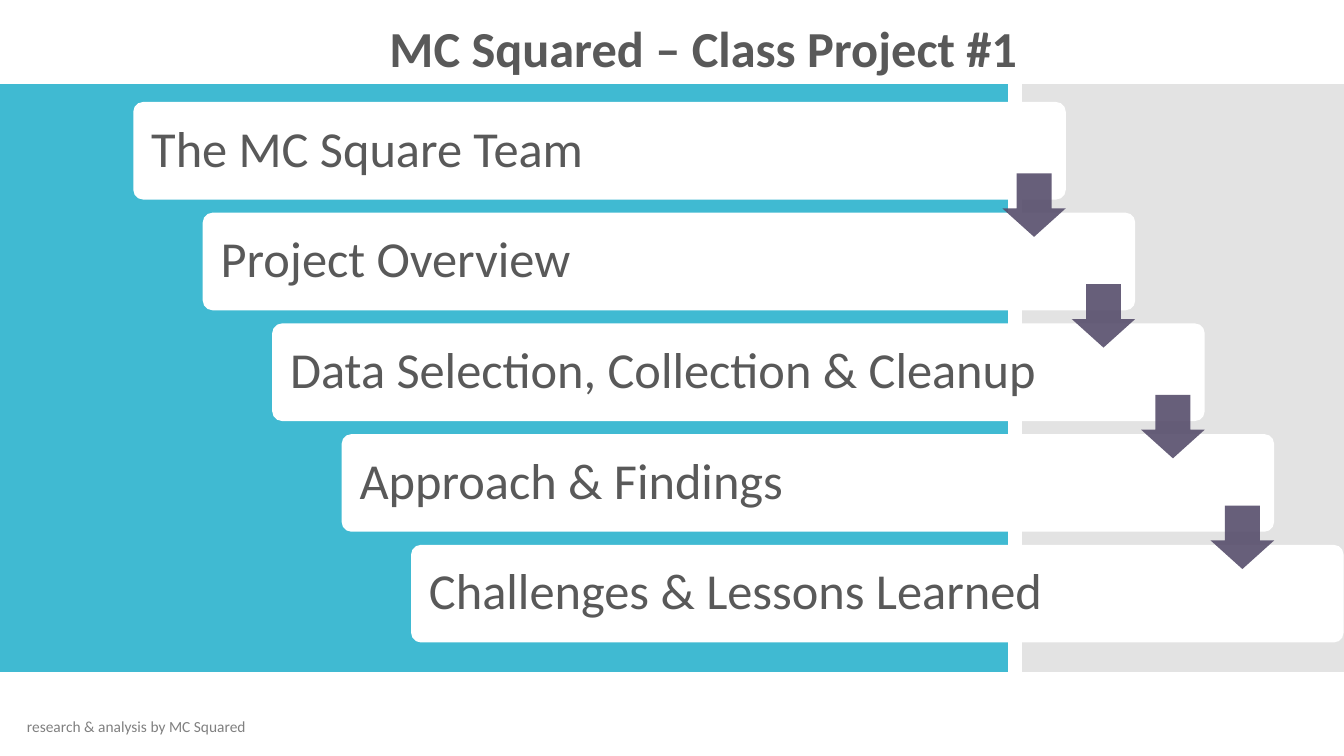
from lxml.etree import SubElement
from pptx import Presentation
from pptx.dml.color import RGBColor
from pptx.enum.shapes import MSO_SHAPE
from pptx.enum.text import MSO_ANCHOR, PP_ALIGN
from pptx.oxml.ns import qn
from pptx.util import Cm, Pt

TEAL = RGBColor(0x40, 0xBA, 0xD2)
LIGHT_GRAY = RGBColor(0xC8, 0xC8, 0xC8)
WHITE = RGBColor(0xFF, 0xFF, 0xFF)
PURPLE = RGBColor(0x57, 0x4E, 0x6C)
TEXT_GRAY = RGBColor(0x59, 0x59, 0x59)
NOTE_GRAY = RGBColor(0x80, 0x80, 0x80)

TOPICS = [
    "The MC Square Team",
    "Project Overview",
    "Data Selection, Collection & Cleanup",
    "Approach & Findings",
    "Challenges & Lessons Learned",
]
STEP_X, STEP_Y = 1.75, 2.79


class AgendaSlide:
    font_name = "Calibri"

    def __init__(self, prs):
        self.s = prs.slides.add_slide(prs.slide_layouts[5])

    def set_text(self, sp, text, size, color, bold=False, align=PP_ALIGN.LEFT,
                 anchor=MSO_ANCHOR.MIDDLE):
        tf = sp.text_frame
        tf.word_wrap = True
        tf.vertical_anchor = anchor
        p = tf.paragraphs[0]
        p.text = text
        p.alignment = align
        p.font.name = self.font_name
        p.font.size = Pt(size)
        p.font.bold = bold
        p.font.color.rgb = color
        return tf

    def title(self, text, left, top, width, height):
        sp = self.s.shapes.title
        sp.left, sp.top, sp.width, sp.height = map(Cm, (left, top, width, height))
        self.set_text(sp, text, 36, TEXT_GRAY, True, PP_ALIGN.CENTER, MSO_ANCHOR.TOP)

    def shape(self, kind, left, top, width, height, color, opacity=100, adjustments=()):
        sp = self.s.shapes.add_shape(kind, *map(Cm, (left, top, width, height)))
        sp.shadow.inherit = False
        sp.line.fill.background()
        sp.fill.solid()
        sp.fill.fore_color.rgb = color
        if opacity < 100:
            clr = sp.element.spPr.find(qn("a:solidFill"))[0]
            SubElement(clr, qn("a:alpha"), val=str(opacity * 1000))
        for i, value in enumerate(adjustments):
            sp.adjustments[i] = value
        return sp

    def bar(self, text, left, top):
        sp = self.shape(MSO_SHAPE.ROUNDED_RECTANGLE, left, top, 23.5, 2.46, WHITE,
                        adjustments=[0.1])
        tf = self.set_text(sp, text, 36, TEXT_GRAY)
        tf.margin_left = Cm(0.38)
        tf.paragraphs[0].line_spacing = 0.9

    def arrow(self, left, top):
        self.shape(MSO_SHAPE.DOWN_ARROW, left, top, 1.6, 1.6, PURPLE, 90, [0.55, 0.45])

    def note(self, text, left, top, width, height):
        sp = self.s.shapes.add_textbox(*map(Cm, (left, top, width, height)))
        self.set_text(sp, text, 11, NOTE_GRAY)


def main():
    prs = Presentation()
    prs.slide_width, prs.slide_height = Cm(33.87), Cm(19.05)
    slide = AgendaSlide(prs)
    slide.title("MC Squared – Class Project #1", 8.33, 0.3, 18.8, 1.8)
    slide.shape(MSO_SHAPE.RECTANGLE, 0, 2.12, 25.4, 14.81, TEAL)
    slide.shape(MSO_SHAPE.RECTANGLE, 25.76, 2.12, 8.11, 14.81, LIGHT_GRAY, 50)
    for i, topic in enumerate(TOPICS):
        slide.bar(topic, 3.36 + i * STEP_X, 2.57 + i * STEP_Y)
    for i in range(len(TOPICS) - 1):
        slide.arrow(25.26 + i * STEP_X, 4.37 + i * STEP_Y)
    slide.note("research & analysis by MC Squared", 0.43, 17.8, 6.2, 1.02)
    prs.save("out.pptx")


if __name__ == "__main__":
    main()
